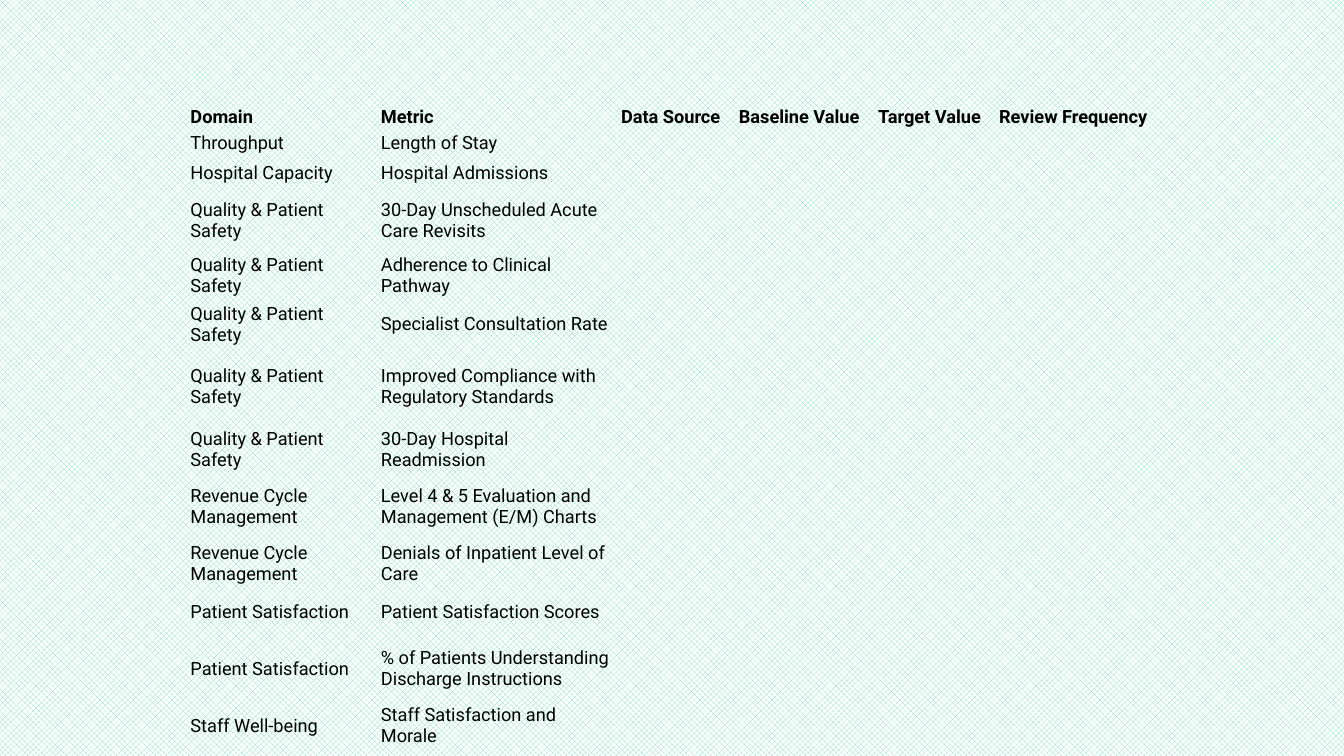
from pptx import Presentation
from pptx.dml.color import RGBColor
from pptx.enum.dml import MSO_PATTERN
from pptx.enum.text import MSO_ANCHOR
from pptx.util import Cm, Pt
from lxml.etree import SubElement
from pptx.oxml.ns import qn

HEADERS = ["Domain", "Metric", "Data Source", "Baseline Value",
           "Target Value", "Review Frequency"]
QUALITY = "Quality & Patient Safety"
REVENUE = "Revenue Cycle Management"
SATISFACTION = "Patient Satisfaction"
# Domain, metric, row height in cm
METRICS = [
    ("Throughput", "Length of Stay", 0.61),
    ("Hospital Capacity", "Hospital Admissions", 0.84),
    (QUALITY, "30-Day Unscheduled Acute Care Revisits", 1.57),
    (QUALITY, "Adherence to Clinical Pathway", 1.22),
    (QUALITY, "Specialist Consultation Rate", 1.22),
    (QUALITY, "Improved Compliance with Regulatory Standards", 1.93),
    (QUALITY, "30-Day Hospital Readmission", 1.22),
    (REVENUE, "Level 4 & 5 Evaluation and Management (E/M) Charts", 1.65),
    (REVENUE, "Denials of Inpatient Level of Care", 1.22),
    (SATISFACTION, "Patient Satisfaction Scores", 1.22),
    (SATISFACTION, "% of Patients Understanding Discharge Instructions", 1.65),
    ("Staff Well-being", "Staff Satisfaction and Morale", 1.22),
]
COL_WIDTHS = [4.8, 6.05, 2.97, 3.51, 3.05, 4.06]
HEADER_HEIGHT = 0.64
LEFT, TOP = 4.7, 2.64
FONT, SIZE = "Roboto", 13
NO_STYLE_NO_GRID = "{2D5ABB26-0587-4C30-8999-92F81FD0307C}"


def color(hex_value):
    return RGBColor.from_string(hex_value)


def fill_cell(cell, text, bold):
    cell.fill.background()
    cell.vertical_anchor = MSO_ANCHOR.MIDDLE
    cell.margin_left = cell.margin_right = Cm(0.1)
    cell.margin_top = cell.margin_bottom = Cm(0.05)
    p = cell.text_frame.paragraphs[0]
    if not text:
        # An empty cell takes its line height from the paragraph end
        SubElement(p._p, qn("a:endParaRPr"), sz=str(SIZE * 100))
        return
    r = p.add_run()
    r.text = text
    r.font.name = FONT
    r.font.size = Pt(SIZE)
    r.font.bold = bold
    r.font.color.rgb = color("000000")


def add_metrics_table(s):
    rows = [HEADERS] + [[domain, metric] + [""] * (len(HEADERS) - 2)
                        for domain, metric, _ in METRICS]
    heights = [HEADER_HEIGHT] + [height for _, _, height in METRICS]
    table = s.shapes.add_table(len(rows), len(HEADERS), Cm(LEFT), Cm(TOP),
                               Cm(sum(COL_WIDTHS)), Cm(sum(heights))).table
    table.horz_banding = False
    table._tbl.tblPr.find(qn("a:tableStyleId")).text = NO_STYLE_NO_GRID
    for column, width in zip(table.columns, COL_WIDTHS):
        column.width = Cm(width)
    for i, (row, height, texts) in enumerate(zip(table.rows, heights, rows)):
        row.height = Cm(height)
        for cell, text in zip(row.cells, texts):
            fill_cell(cell, text, bold=i == 0)


def main():
    prs = Presentation()
    prs.slide_width, prs.slide_height = Cm(33.87), Cm(19.05)
    s = prs.slides.add_slide(prs.slide_layouts[6])
    fill = s.background.fill
    fill.patterned()
    fill.pattern = MSO_PATTERN.from_xml("openDmnd")
    fill.fore_color.rgb = color("73DCBE")
    fill.back_color.rgb = color("FFFFFF")
    add_metrics_table(s)
    prs.save("out.pptx")


if __name__ == "__main__":
    main()
